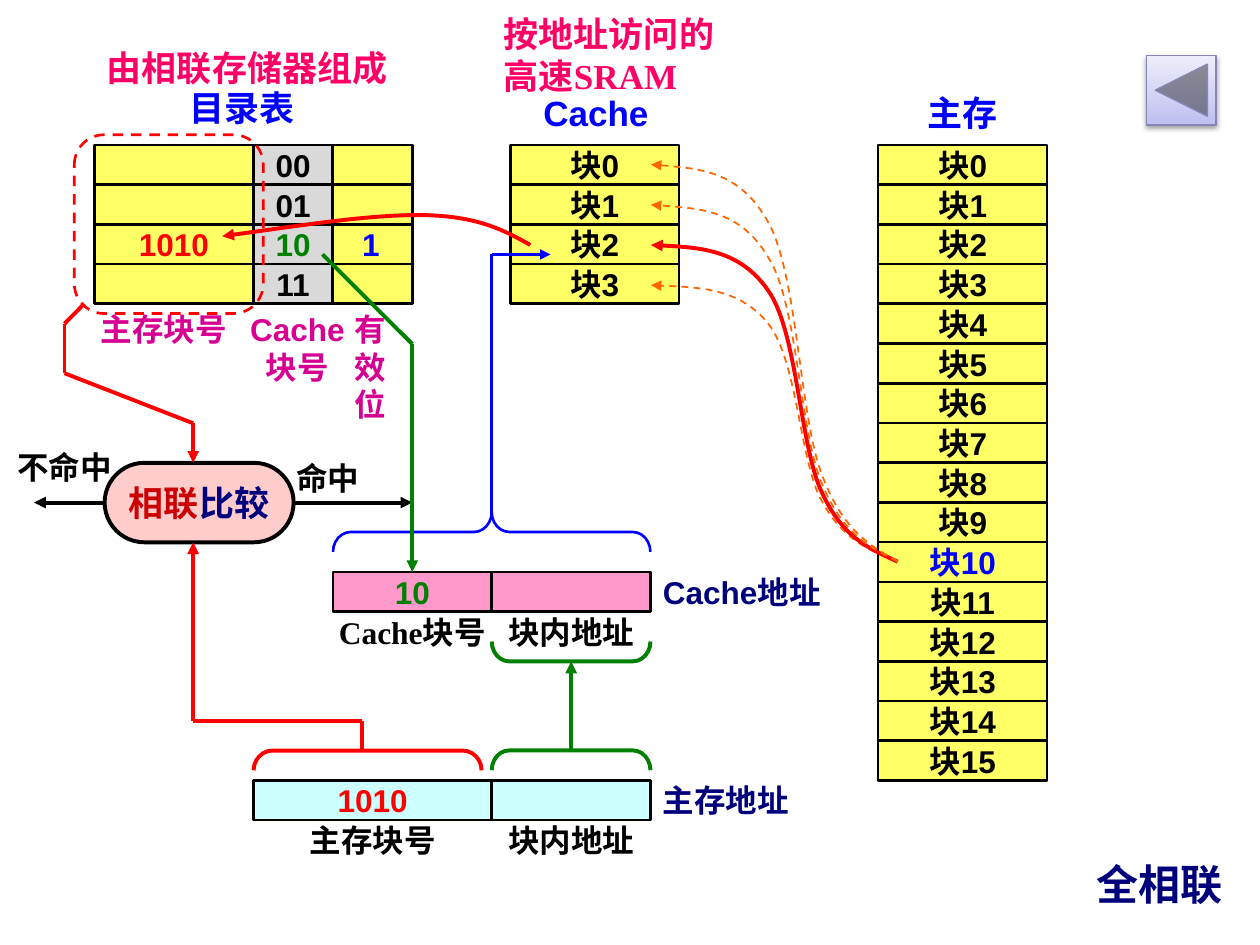
"""Build a slide that explains fully associative cache mapping."""
from lxml import etree
from pptx import Presentation
from pptx import util as u
from pptx.dml.color import RGBColor
from pptx.enum import dml, shapes, text
from pptx.oxml.ns import qn

BLACK = RGBColor(0x00, 0x00, 0x00)
BLUE = RGBColor(0x00, 0x00, 0xFF)
NAVY = RGBColor(0x00, 0x00, 0x7D)
RED = RGBColor(0xFF, 0x00, 0x00)
DARK_RED = RGBColor(0xCC, 0x00, 0x00)
GREEN = RGBColor(0x00, 0x80, 0x00)
ORANGE = RGBColor(0xFF, 0x66, 0x00)
MAGENTA = RGBColor(0xD6, 0x00, 0x93)
ROSE = RGBColor(0xFF, 0x00, 0x66)
YELLOW = RGBColor(0xFF, 0xFF, 0x66)
GREY = RGBColor(0xD9, 0xD9, 0xD9)
PINK = RGBColor(0xFF, 0x99, 0xCC)
PALE_PINK = RGBColor(0xFF, 0xCC, 0xCC)
CYAN = RGBColor(0xCC, 0xFF, 0xFF)
LILAC = RGBColor(0xBF, 0xBF, 0xF0)
PALE_LILAC = RGBColor(0xED, 0xED, 0xFB)
LILAC_EDGE = RGBColor(0x86, 0x86, 0xB6)

SANS, SERIF = "Arial", "Times New Roman"
LEFT, CENTER, RIGHT = text.PP_ALIGN.LEFT, text.PP_ALIGN.CENTER, text.PP_ALIGN.RIGHT
KIND = shapes.MSO_SHAPE
ROW = 22.7
TOP = 82.8
COLUMN = [54 + ROW * step for step in (0, 4, 6, 8, 10, 14)]
CACHE_LEFT, MEMORY_LEFT, BLOCK_WIDTH = 291.6, 501.8, 96.5
CACHE_ADDRESS_TOP, MEMORY_ADDRESS_TOP = 326.9, 445.9


def points(*lengths):
    """Turn plain numbers into lengths in points."""
    return [u.Pt(length) for length in lengths]


def write(shape, lines, align=CENTER, size=18, wrap=False, anchor=text.MSO_ANCHOR.MIDDLE):
    """Fill a shape with lines, each a list of (text, colour, font) runs."""
    frame = shape.text_frame
    frame.auto_size = text.MSO_AUTO_SIZE.NONE
    frame.word_wrap = wrap
    frame.vertical_anchor = anchor
    for index, runs in enumerate(lines):
        paragraph = frame.add_paragraph() if index else frame.paragraphs[0]
        paragraph.alignment = align
        for content, colour, font in runs:
            if content == "\n":
                paragraph.add_line_break()
                continue
            run = paragraph.add_run()
            run.text = content
            run.font.name, run.font.size, run.font.bold = font, u.Pt(size), True
            run.font.color.rgb = colour


def add_label(slide, box, lines, **options):
    """Add a text box; a plain string comes as one (text, colour) pair."""
    if isinstance(lines, tuple):
        lines = [[(*lines, SANS)]]
    write(slide.shapes.add_textbox(*points(*box)), lines, **options)


def add_caption(slide, box, lines, align=CENTER, size=18):
    """Add a wrapping text box that is set from its top."""
    add_label(slide, box, lines, align=align, size=size, wrap=True, anchor=text.MSO_ANCHOR.TOP)


def style_line(shape, colour, width, dashed=False, arrow=False):
    """Set colour, width, dash and arrowhead of an outline."""
    shape.line.color.rgb = colour
    shape.line.width = u.Pt(width)
    if dashed:
        shape.line.dash_style = dml.MSO_LINE.DASH
    if arrow:
        etree.SubElement(shape.line._get_or_add_ln(), qn("a:tailEnd"), type="triangle")


def add_outline(slide, kind, box, colour, width, fill=None, adjust=(), rotation=0, flip=False, dashed=False):
    """Add a preset shape without shadow."""
    shape = slide.shapes.add_shape(kind, *points(*box))
    shape.shadow.inherit = False
    if fill is None:
        shape.fill.background()
    else:
        shape.fill.solid()
        shape.fill.fore_color.rgb = fill
    style_line(shape, colour, width, dashed)
    for index, value in enumerate(adjust):
        shape.adjustments[index] = value
    shape.rotation = rotation
    if flip:
        shape._element.spPr.xfrm.set("flipV", "1")
    return shape


def add_cell(slide, left, top, width, fill, content="", colour=BLACK):
    """Add one bordered memory cell."""
    shape = add_outline(slide, KIND.RECTANGLE, (left, top, width, ROW), BLACK, 1.5, fill)
    if content:
        write(shape, [[(content, colour, SANS)]])


def add_column(slide, left, width, fill, contents, special=None, colour=BLACK):
    """Stack cells downwards, with one row in its own colour."""
    for row, content in enumerate(contents):
        add_cell(slide, left, TOP + row * ROW, width, fill, content, colour if row == special else BLACK)


def add_route(slide, stops, colour, width=2.25, arrow=True):
    """Join stops by straight lines, with an arrowhead on the last."""
    for index, (start, end) in enumerate(zip(stops, stops[1:]), 2):
        line = slide.shapes.add_connector(shapes.MSO_CONNECTOR.STRAIGHT, *points(*start, *end))
        etree.SubElement(line._element.spPr, qn("a:effectLst"))
        style_line(line, colour, width, arrow=arrow and index == len(stops))


def add_curve(slide, start, controls, colour, width, dashed=False):
    """Draw an arrow of cubic curves, three control points to each."""
    builder = slide.shapes.build_freeform(*start, scale=u.Pt(1))
    builder.add_line_segments(controls, close=False)
    shape = builder.convert_to_shape()
    shape.shadow.inherit = False
    shape.fill.background()
    style_line(shape, colour, width, dashed, arrow=True)
    segments = shape._element.xpath(".//a:lnTo")
    for index in range(0, len(segments), 3):
        curve = etree.Element(qn("a:cubicBezTo"))
        segments[index].addprevious(curve)
        for segment in segments[index:index + 3]:
            curve.append(segment[0])
            segment.getparent().remove(segment)


def add_address(slide, top, lefts, fill, value, colour, runs, name):
    """Add a two-field address with its field names and title."""
    start, middle, end = lefts
    add_label(slide, (start, top + ROW, middle - start, ROW), [runs])
    add_label(slide, (middle, top + ROW, end - middle, ROW), ("块内地址", BLACK))
    add_cell(slide, start, top, middle - start, fill, value, colour)
    add_cell(slide, middle, top, end - middle, fill)
    add_label(slide, (end, top, 108, ROW), (name, NAVY), align=LEFT)


def add_back_button(slide):
    """Add the shaded button that leads back."""
    button = add_outline(slide, KIND.ACTION_BUTTON_BACK_OR_PREVIOUS, (655.2, 31.7, 39.7, 39.7), LILAC_EDGE, 0.75)
    button.fill.gradient()
    button.fill.gradient_angle = 90
    for stop, colour in zip(button.fill.gradient_stops, (LILAC, PALE_LILAC)):
        stop.color.rgb = colour
    effects = button._element.spPr.find(qn("a:effectLst"))
    shadow = etree.SubElement(effects, qn("a:outerShdw"), blurRad=str(u.Pt(3.1)),
                              dist=str(u.Pt(1.6)), dir="5400000", rotWithShape="0")
    shade = etree.SubElement(shadow, qn("a:srgbClr"), val=str(BLACK))
    etree.SubElement(shade, qn("a:alpha"), val="38000")


def add_memories(slide):
    """Add the directory, the cache and the main memory."""
    add_column(slide, CACHE_LEFT, BLOCK_WIDTH, YELLOW, [f"块{n}" for n in range(4)])
    add_column(slide, COLUMN[0], COLUMN[1] - COLUMN[0], YELLOW, [""] * 4)
    add_column(slide, COLUMN[1], 2 * ROW, GREY, ["00", "01", "10", "11"], 2, GREEN)
    add_column(slide, COLUMN[2], 2 * ROW, YELLOW, [""] * 4)
    add_column(slide, MEMORY_LEFT, BLOCK_WIDTH, YELLOW, [f"块{n}" for n in range(16)], 10, BLUE)
    add_caption(slide, (MEMORY_LEFT, 49, BLOCK_WIDTH, 31), ("主存", BLUE), size=20)
    add_caption(slide, (292.3, 49, BLOCK_WIDTH, 31), ("Cache", BLUE), size=20)
    add_caption(slide, (82, 46, 113, 31), ("目录表", BLUE), size=20)
    add_caption(slide, (280.8, 3.6, 147.6, 55.4),
                [[("按地址访问的", ROSE, SERIF)], [("高速SRAM", ROSE, SERIF)]], LEFT, 20)
    add_caption(slide, (54, 23, 181.4, 31), [[("由相联存储器组成", ROSE, SERIF)]], LEFT, 20)
    add_caption(slide, (133.2, 173.5, 73.4, 50.4),
                [[("Cache", MAGENTA, SANS), ("\n", MAGENTA, SANS), ("块号", MAGENTA, SANS)]])
    add_caption(slide, (195.8, 173.5, 33.8, 72), ("有效位", MAGENTA), LEFT)
    add_caption(slide, (48.2, 173.5, 90.7, 28.8), ("主存块号", MAGENTA))
    add_caption(slide, (65.5, 125.3, 67.7, 28.8), ("1010", RED))
    add_caption(slide, (198.7, 125.3, 26.6, 28.8), ("1", BLUE))


def add_comparison(slide):
    """Add the comparator with its inputs and two outcomes."""
    oval = add_outline(slide, KIND.ROUNDED_RECTANGLE, (59.8, 264.5, 108, 45.4), BLACK, 2.25, PALE_PINK, [0.5])
    write(oval, [[("相联", DARK_RED, SANS), ("比较", NAVY, SANS)]], size=20)
    add_route(slide, [(59.8, 287.2), (19.5, 287.2)], BLACK)
    add_route(slide, [(167.4, 287.2), (235.6, 287.2)], BLACK)
    add_caption(slide, (2.9, 252.7, 79.2, 28.8), ("不命中", BLACK), LEFT)
    add_caption(slide, (161.3, 258.5, 51, 28.8), ("命中", BLACK), RIGHT)
    add_outline(slide, KIND.ROUNDED_RECTANGLE, (42.5, 77, 108, 102.2), RED, 1.5, adjust=[0.167], dashed=True)
    add_route(slide, [(48.2, 173.5), (36.9, 185), (36.9, 213.3), (110.4, 241.9), (110.4, 264.5)], RED)
    add_route(slide, [(206.9, 429.1), (206.9, 411.8), (110.4, 411.8), (110.4, 309.9)], RED)


def add_mapping(slide):
    """Add braces, field arrows and the curves between blocks."""
    add_outline(slide, KIND.RIGHT_BRACE, (269.6, 213.3, 22.7, 181.4), BLUE, 1.5,
                adjust=[0.447, 0.5], rotation=270, flip=True)
    add_route(slide, [(281, 293), (281, 145.4), (314.6, 145.4)], BLUE, 1.5)
    bracket = KIND.RIGHT_BRACKET
    add_outline(slide, bracket, (204.4, 369.4, 11.3, 130.3), RED, 2.25, adjust=[0.966], rotation=270)
    add_outline(slide, bracket, (320.7, 389.1, 11.3, 90.7), GREEN, 2.25, adjust=[0.889], rotation=270)
    add_outline(slide, bracket, (320.7, 326.9, 11.3, 90.7), GREEN, 2.25, adjust=[0.889], rotation=90, flip=True)
    add_route(slide, [(326.4, 429.1), (326.4, 378)], GREEN)
    add_route(slide, [(184.3, 145.4), (235.6, 196.6), (235.6, CACHE_ADDRESS_TOP)], GREEN)
    add_curve(slide, (303.1, 139.7), [(288.7, 131.8), (274.3, 123.8), (244.8, 123.1),
                                      (215.3, 122.4), (171.4, 128.9), (127.4, 135.4)], RED, 2.25)
    start, bottom = 513.4, 321.1
    for row in (3, 2, 1, 0):
        end = 94.5 + row * ROW
        rise = bottom - end
        heights = (0.04, 0.075, 0.215, 0.357, 0.725, 0.856, 0.984, 0.992, 1)
        lefts = (497.5, 482.4, 470.2, 457.2, 455.8, 439.2, 422.6, 396.7, 371.8)
        controls = [(x, bottom - rise * height) for x, height in zip(lefts, heights)]
        solid = row == 2
        add_curve(slide, (start, bottom), controls, RED if solid else ORANGE, 2.25 if solid else 1, not solid)


def main():
    """Create the slide and save it."""
    presentation = Presentation()
    presentation.slide_width, presentation.slide_height = points(720, 540)
    slide = presentation.slides.add_slide(presentation.slide_layouts[5])
    title = slide.shapes.title
    title.left, title.top, title.width, title.height = points(592.6, 485.3, 113, 39.6)
    write(title, [[("全相联", NAVY, SANS)]], RIGHT, 24)
    add_memories(slide)
    add_address(slide, CACHE_ADDRESS_TOP, (COLUMN[2], COLUMN[4], COLUMN[5]), PINK, "10", GREEN,
                [("Cache", BLACK, SERIF), ("块号", BLACK, SANS)], "Cache地址")
    add_address(slide, MEMORY_ADDRESS_TOP, (COLUMN[1], COLUMN[4], COLUMN[5]), CYAN, "1010", RED,
                [("主存块号", BLACK, SANS)], "主存地址")
    add_comparison(slide)
    add_mapping(slide)
    add_back_button(slide)
    presentation.save("out.pptx")


if __name__ == "__main__":
    main()
